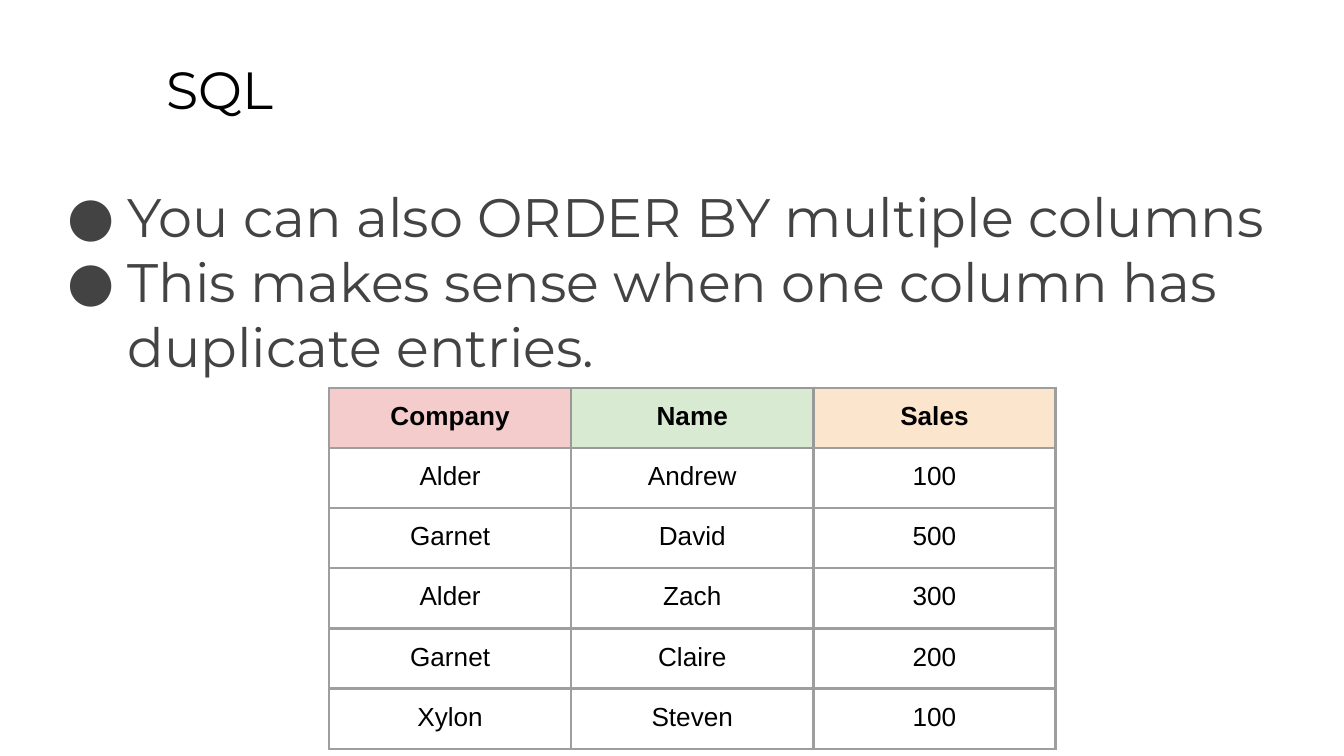
from lxml.etree import SubElement
from pptx import Presentation
from pptx.dml.color import RGBColor as RGB
from pptx.enum.text import MSO_ANCHOR as ANCHOR, MSO_AUTO_SIZE as AUTO, PP_ALIGN as ALIGN
from pptx.oxml.ns import qn
from pptx.util import Emu, Pt

PX = 9525  # EMU per px, 96 px to the inch
COLORS = {
    "title": "000000", "body": "434343", "cell": "000000",
    "border": "9E9E9E", "accent_border": "999999",
    "pink": "F4CCCC", "green": "D9EAD3", "peach": "FCE5CD",
}
HEADERS = [("Company", "pink"), ("Name", "green"), ("Sales", "peach")]
ROWS = [
    ("Alder", "Andrew", "100"),
    ("Garnet", "David", "500"),
    ("Alder", "Zach", "300"),
    ("Garnet", "Claire", "200"),
    ("Xylon", "Steven", "100"),
]


def px(n):
    return Emu(n * PX)


class Deck:
    heading_font, table_font = "Montserrat", "Arial"
    inset = px(10)

    def __init__(self, width, height):
        self.prs = Presentation()
        self.prs.slide_width, self.prs.slide_height = px(width), px(height)
        self.s = self.prs.slides.add_slide(self.prs.slide_layouts[1])

    def run(self, p, text, size, font, color, bold=False):
        r = p.add_run()
        r.text = text
        r.font.size, r.font.name, r.font.bold = Pt(size), font, bold
        r.font.color.rgb = RGB.from_string(COLORS[color])

    def margins(self, box):
        box.margin_left = box.margin_right = self.inset
        box.margin_top = box.margin_bottom = self.inset

    def place(self, sp, x, y, w, h):
        sp.left, sp.top, sp.width, sp.height = map(px, (x, y, w, h))
        tf = sp.text_frame
        self.margins(tf)
        tf.word_wrap, tf.auto_size = True, AUTO.NONE
        tf.vertical_anchor = ANCHOR.TOP
        return tf

    def title(self, text, *box):
        p = self.place(self.s.shapes.title, *box).paragraphs[0]
        p.alignment = ALIGN.LEFT
        self.run(p, text, 28, self.heading_font, "title")

    def bullets(self, items, *box):
        tf = self.place(self.s.placeholders[1], *box)
        for i, text in enumerate(items):
            p = tf.add_paragraph() if i else tf.paragraphs[0]
            p.space_before = Pt(0)
            pPr = p._p.get_or_add_pPr()
            pPr.set("marL", str(px(48)))
            pPr.set("indent", str(px(-43)))
            clr = SubElement(pPr, qn("a:buClr"))
            SubElement(clr, qn("a:srgbClr"), val=COLORS["body"])
            SubElement(pPr, qn("a:buFont"), typeface=self.heading_font)
            SubElement(pPr, qn("a:buChar"), char="●")
            self.run(p, text, 29, self.heading_font, "body")

    def border(self, cell, side, color):
        ln = SubElement(cell._tc.get_or_add_tcPr(), qn("a:ln" + side), w=str(Pt(1.5)))
        fill = SubElement(ln, qn("a:solidFill"))
        SubElement(fill, qn("a:srgbClr"), val=COLORS[color])

    def cell(self, cell, text, accents, fill=None):
        self.margins(cell)
        cell.vertical_anchor = ANCHOR.TOP
        for side in "LRTB":
            self.border(cell, side, "accent_border" if side in accents else "border")
        if fill:
            cell.fill.solid()
            cell.fill.fore_color.rgb = RGB.from_string(COLORS[fill])
        else:
            cell.fill.background()
        p = cell.text_frame.paragraphs[0]
        p.alignment = ALIGN.CENTER
        self.run(p, text, 14, self.table_font, "cell", bold=bool(fill))

    def table(self, headers, rows, x, y, col_w, row_h):
        n_rows, n_cols = len(rows) + 1, len(headers)
        table = self.s.shapes.add_table(
            n_rows, n_cols, px(x), px(y), px(col_w * n_cols), px(row_h * n_rows)).table
        table.first_row = table.horz_banding = False
        # Edges that touch the middle header cell take the accent grey
        accents = {(0, 0): "R", (0, 1): "LRTB", (0, 2): "L", (1, 1): "T"}
        for c, (text, fill) in enumerate(headers):
            self.cell(table.cell(0, c), text, accents[0, c], fill)
        for r, row in enumerate(rows, 1):
            for c, text in enumerate(row):
                self.cell(table.cell(r, c), text, accents.get((r, c), ""))


def main():
    deck = Deck(960, 540)
    # Heading and bullet list
    deck.title("SQL", 109, 31, 818, 60)
    deck.bullets([
        "You can also ORDER BY multiple columns",
        "This makes sense when one column has duplicate entries.",
    ], 33, 121, 912, 359)
    # Sales table
    deck.table(HEADERS, ROWS, x=235, y=277, col_w=173, row_h=43)
    deck.prs.save("out.pptx")


if __name__ == "__main__":
    main()
